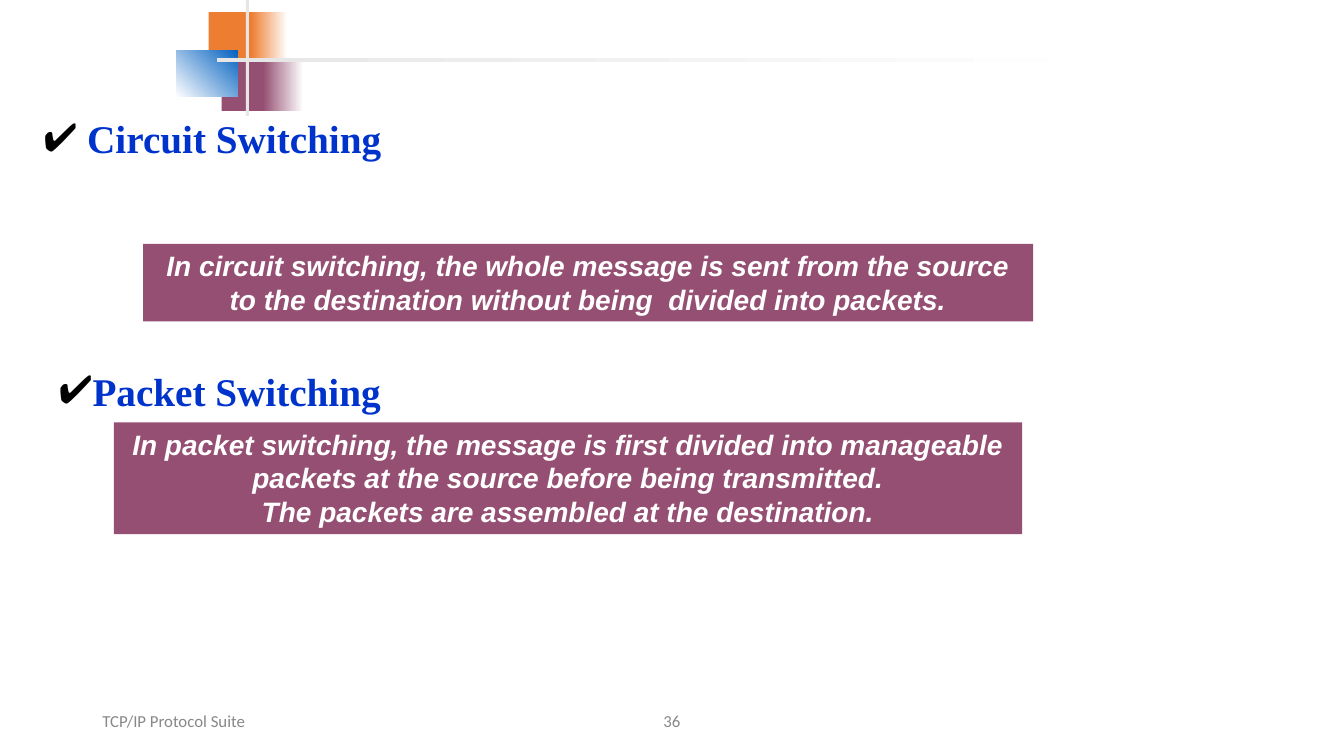
from lxml import etree
from pptx import Presentation
from pptx.dml.color import RGBColor
from pptx.enum.shapes import MSO_SHAPE
from pptx.enum.text import MSO_ANCHOR, MSO_AUTO_SIZE, PP_ALIGN
from pptx.oxml.ns import qn
from pptx.util import Pt

RECTANGLE = MSO_SHAPE.RECTANGLE
TOP, MIDDLE = MSO_ANCHOR.TOP, MSO_ANCHOR.MIDDLE
LEFT, CENTER = PP_ALIGN.LEFT, PP_ALIGN.CENTER
NO_AUTOFIT = MSO_AUTO_SIZE.NONE

ORANGE, PLUM, BLUE = "ED7D31", "954F72", "0563C1"
GRAY, WHITE = "E7E6E6", "FFFFFF"


def paint(color_format, hex_color):
    color_format.rgb = RGBColor.from_string(hex_color)


def write(shape, text, font="Arial", size=20, color=WHITE, bold=False,
          italic=False, align=LEFT, anchor=TOP, bullet=None):
    frame = shape.text_frame
    frame.word_wrap = True
    frame.auto_size = NO_AUTOFIT
    frame.vertical_anchor = anchor
    frame.margin_left = frame.margin_right = Pt(7.2)
    frame.margin_top = frame.margin_bottom = Pt(3.6)
    paragraph = frame.paragraphs[0]
    paragraph.text = text
    paragraph.alignment = align
    paragraph.space_before = Pt(0)
    if bullet:
        properties = paragraph._p.get_or_add_pPr()
        properties.set("marL", "0")
        properties.set("indent", str(-Pt(16.5)))
        bullet_color = etree.SubElement(properties, qn("a:buClr"))
        etree.SubElement(bullet_color, qn("a:srgbClr"), val="000000")
        etree.SubElement(properties, qn("a:buFont"), typeface="Arial")
        etree.SubElement(properties, qn("a:buChar"), char=bullet)
    for run in paragraph.runs:
        run.font.name = font
        run.font.size = Pt(size)
        run.font.bold = bold
        run.font.italic = italic
        paint(run.font.color, color)


deck = Presentation()
deck.slide_width, deck.slide_height = Pt(960), Pt(540)
slide = deck.slides.add_slide(deck.slide_layouts[3])
unused_title = slide.shapes.title.element
unused_title.getparent().remove(unused_title)

footers = [
    ("TCP/IP Protocol Suite", 66, 216, LEFT),
    ("36", 318, 324, CENTER),
]
for text, left, width, align in footers:
    footer = slide.shapes.add_textbox(Pt(left), Pt(500.4), Pt(width), Pt(28.8))
    write(footer, text, font="Calibri", size=12, color="888888",
          align=align, anchor=MIDDLE)

ornaments = [
    (149, 8.6, 34.6, 37.4, [ORANGE], 0),
    (179.3, 8.6, 25.9, 37.4, [ORANGE, WHITE], 0),
    (158.4, 41.8, 33.1, 37.4, [PLUM], 0),
    (187.9, 41.8, 28.8, 37.4, [PLUM, WHITE], 0),
    (126, 36, 43.9, 33.1, [WHITE, BLUE], 45),
    (175.7, 0, 2.2, 82.8, [GRAY], 0),
    (154.8, 41.8, 648, 2.2, [GRAY, WHITE], 0),
]
for left, top, width, height, colors, angle in ornaments:
    ornament = slide.shapes.add_shape(
        RECTANGLE, Pt(left), Pt(top), Pt(width), Pt(height))
    ornament.shadow.inherit = False
    ornament.line.fill.background()
    if len(colors) == 1:
        ornament.fill.solid()
        paint(ornament.fill.fore_color, colors[0])
    else:
        ornament.fill.gradient()
        ornament.fill.gradient_angle = angle
        for stop, color in zip(ornament.fill.gradient_stops, colors):
            paint(stop.color, color)

headings = [
    (1, " Circuit Switching", 23.8, 77.8),
    (2, "Packet Switching", 34.6, 258.5),
]
for index, text, left, top in headings:
    heading = slide.placeholders[index]
    heading.left, heading.top = Pt(left), Pt(top)
    heading.width, heading.height = Pt(527.8), Pt(41)
    write(heading, text, font="Times New Roman", size=28, color="0033CC",
          bold=True, bullet="✔")

definitions = [
    ("In circuit switching, the whole message is sent from the source "
     "to the destination without being  divided into packets.",
     102.2, 174.2, 635.8, 55.4),
    ("In packet switching, the message is first divided into manageable "
     "packets at the source before being transmitted.\n"
     "The packets are assembled at the destination.",
     81.4, 301.7, 648.7, 79.9),
]
for text, left, top, width, height in definitions:
    definition = slide.shapes.add_shape(
        RECTANGLE, Pt(left), Pt(top), Pt(width), Pt(height))
    definition.shadow.inherit = False
    definition.line.fill.background()
    definition.fill.solid()
    paint(definition.fill.fore_color, PLUM)
    write(definition, text, bold=True, italic=True, align=CENTER)

deck.save("out.pptx")
